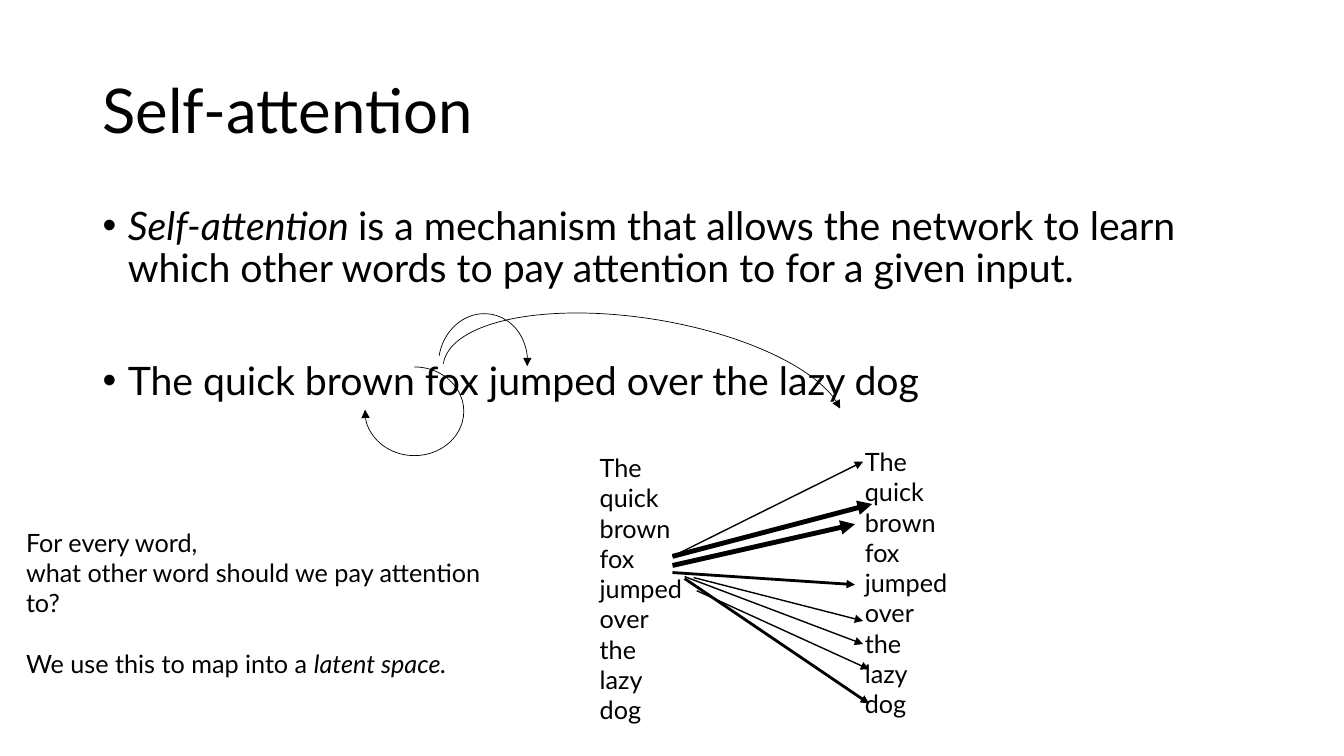
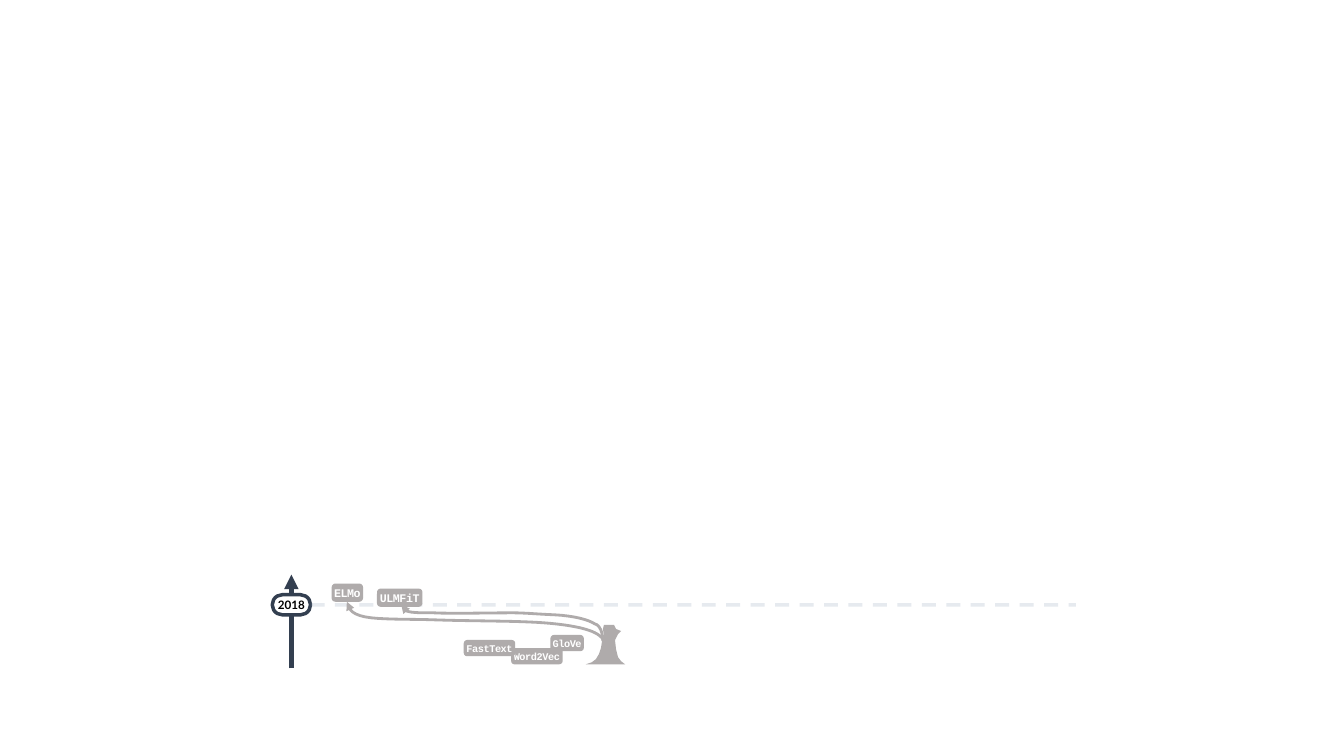
from lxml import etree
from pptx import Presentation
from pptx.dml.color import RGBColor
from pptx.enum.dml import MSO_LINE
from pptx.enum.shapes import MSO_CONNECTOR, MSO_SHAPE
from pptx.enum.text import MSO_ANCHOR, PP_ALIGN
from pptx.oxml.ns import qn
from pptx.util import Inches, Pt

BLACK = RGBColor(0x00, 0x00, 0x00)
WHITE = RGBColor(0xFF, 0xFF, 0xFF)
GRAY = RGBColor(0xAF, 0xAB, 0xAB)
NAVY = RGBColor(0x33, 0x3F, 0x50)
BLUE = RGBColor(0x84, 0x97, 0xB0)

SANS, MONO = "Lato", "Courier New"
LINE = MSO_CONNECTOR.STRAIGHT
ARC = MSO_SHAPE.ARC
ROUND = MSO_SHAPE.ROUNDED_RECTANGLE
MIDDLE, TOP = MSO_ANCHOR.MIDDLE, MSO_ANCHOR.TOP
CENTER = PP_ALIGN.CENTER
DASH = MSO_LINE.DASH

WORDS = "The quick brown fox jumped over the lazy dog"

# left, top, width, height, turn, start and end angle
ARCS = [
    (4.3, 3.16, 0.98, 0.88, 279.2, 162, 51.02),
    (5.61, 1.92, 1.54, 4.02, 279.2, 162, 50.64),
    (3.62, 3.64, 0.98, 0.88, 0, 162, 109.1),
]

# from x, from y, to x, to y, weight
LINKS = [
    (6.67, 5.61, 8.48, 5.2, 3.5),
    (6.67, 5.68, 8.48, 5.8, 2),
    (6.79, 5.74, 8.62, 6.98, 2),
    (6.67, 5.52, 8.56, 4.58, 1),
    (6.67, 5.52, 8.65, 5, 3.5),
    (6.88, 5.73, 8.56, 6.16, 1),
    (6.79, 5.72, 8.56, 6.39, 1),
    (6.91, 5.86, 8.62, 6.64, 1),
]

# name, left, top, width, height, size
MODELS = [
    ("Word2Vec", 5.08, 6.44, 0.49, 0.14, 7.3),
    ("FastText", 4.61, 6.36, 0.49, 0.14, 7.3),
    ("GloVe", 5.47, 6.31, 0.31, 0.14, 7.3),
    ("ELMo", 3.3, 5.8, 0.29, 0.16, 8.3),
    ("ULMFiT", 3.75, 5.85, 0.43, 0.16, 8.3),
]

TRUNK = [
    (5.99, 6.2), (6.09, 6.2), (6.11, 6.24), (6.16, 6.26), (6.13, 6.29),
    (6.1, 6.35), (6.11, 6.44), (6.13, 6.52), (6.16, 6.56), (6.2, 6.59),
    (5.81, 6.59), (5.87, 6.57), (5.91, 6.54), (5.94, 6.49), (5.96, 6.43),
    (5.97, 6.37), (5.99, 6.3), (5.98, 6.24),
]

# start point, then cubic segments of two handles and an end
ELMO = [
    (5.98, 6.54), (6, 6.47), (6.01, 6.4), (5.98, 6.34),
    (5.94, 6.29), (5.88, 6.26), (5.76, 6.23),
    (5.63, 6.2), (5.47, 6.18), (5.23, 6.17),
    (4.99, 6.16), (4.59, 6.16), (4.32, 6.15),
    (4.05, 6.14), (3.77, 6.15), (3.62, 6.12),
    (3.47, 6.09), (3.46, 6.03), (3.44, 5.97),
]
ULMFIT = [
    (5.98, 6.36), (5.98, 6.28), (5.95, 6.2), (5.9, 6.19),
    (5.84, 6.15), (5.7, 6.11), (5.5, 6.1),
    (5.28, 6.09), (5.2, 6.08), (5.08, 6.08),
    (4.88, 6.08), (4.47, 6.09), (4.3, 6.08),
    (4.14, 6.08), (4.05, 6.08), (4.01, 6.05),
    (3.99, 6.04), (3.98, 6.02), (3.98, 6),
]


def box(lens):
    return [Inches(n) for n in lens]


def add_run(para, text, size, font=SANS, color=BLACK, bold=False,
            italic=False):
    run = para.add_run()
    run.text = text
    face = run.font
    face.name, face.size = font, Pt(size)
    face.bold, face.italic = bold, italic
    face.color.rgb = color
    return run


def add_text(slide, place, paras, size, wrap=True, anchor=TOP):
    """Add a text box; each paragraph is a list of (text, italic) runs."""
    frame = slide.shapes.add_textbox(*box(place)).text_frame
    frame.word_wrap = wrap
    frame.vertical_anchor = anchor
    for i, runs in enumerate(paras):
        para = frame.add_paragraph() if i else frame.paragraphs[0]
        for text, italic in runs:
            add_run(para, text, size, italic=italic)
    return frame.paragraphs


def add_bullet(para):
    props = para._p.get_or_add_pPr()
    props.set("marL", str(Inches(0.25)))
    props.set("indent", str(-Inches(0.25)))
    etree.SubElement(props, qn("a:buFont")).set("typeface", "Arial")
    etree.SubElement(props, qn("a:buChar")).set("char", "•")


def set_line(shape, color, weight, head=True):
    shape.line.color.rgb = color
    shape.line.width = Pt(weight)
    if head:
        edge = shape.element.spPr.find(qn("a:ln"))
        etree.SubElement(edge, qn("a:tailEnd")).set("type", "triangle")


def add_link(slide, ends, color, weight, head=True):
    link = slide.shapes.add_connector(LINE, *box(ends))
    set_line(link, color, weight, head)
    etree.SubElement(link.element.spPr, qn("a:effectLst"))
    return link


def add_arc(slide, place, turn, start, end):
    arc = slide.shapes.add_shape(ARC, *box(place))
    arc.adjustments[0], arc.adjustments[1] = start, end
    arc.rotation = turn
    arc.fill.background()
    arc.shadow.inherit = False
    set_line(arc, BLACK, 0.5)


def add_pill(slide, place, fill, edge, weight):
    """Add a rounded label and return it with its centred paragraph."""
    pill = slide.shapes.add_shape(ROUND, *box(place))
    pill.shadow.inherit = False
    pill.fill.solid()
    pill.fill.fore_color.rgb = fill
    set_line(pill, edge, weight, head=False)
    frame = pill.text_frame
    frame.margin_left = frame.margin_right = 0
    frame.margin_top = frame.margin_bottom = 0
    frame.word_wrap = False
    frame.vertical_anchor = MIDDLE
    para = frame.paragraphs[0]
    para.alignment = CENTER
    return pill, para


def add_path(slide, points, close):
    first, *rest = [tuple(box(p)) for p in points]
    pen = slide.shapes.build_freeform(*first)
    pen.add_line_segments(rest, close=close)
    path = pen.convert_to_shape()
    path.shadow.inherit = False
    return path


def trace(knots, steps=8):
    """Sample a chain of cubic curves."""
    points = [knots[0]]
    for i in range(0, len(knots) - 1, 3):
        for n in range(1, steps + 1):
            t = n / steps
            u = 1 - t
            parts = (u ** 3, 3 * u * u * t, 3 * u * t * t, t ** 3)
            points.append(tuple(
                sum(w * k[axis] for w, k in zip(parts, knots[i:i + 4]))
                for axis in (0, 1)))
    return points


def add_branch(slide, knots):
    branch = add_path(slide, trace(knots), close=False)
    branch.fill.background()
    set_line(branch, GRAY, 2)


def draw_focus(slide):
    title, = add_text(slide, (0.92, 0.4, 11.5, 1.45),
                      [[("Self-attention", False)]], 44, anchor=MIDDLE)
    title.line_spacing = 0.9

    body = add_text(slide, (0.92, 2, 11.5, 4.76), [
        [("Self-attention ", True),
         ("is a mechanism that allows the network to learn which other "
          "words to pay attention to for a given input.", False)],
        [(WORDS, False)],
    ], 28)
    for para in body:
        add_bullet(para)
        para.line_spacing = 0.9
    body[1].space_before = Pt(50)

    for *place, turn, start, end in ARCS:
        add_arc(slide, place, turn, start, end)

    column = [[(word, False)] for word in WORDS.split()]
    for left, top in ((5.85, 4.44), (8.48, 4.38)):
        add_text(slide, (left, top, 1.07, 3.13), column, 18, wrap=False)
    for *ends, weight in LINKS:
        add_link(slide, ends, BLACK, weight)

    notes = add_text(slide, (0.16, 5.18, 4.9, 1.31), [
        [("For every word,", False)],
        [("what other word should we pay attention to?", False)],
        [("We use this to map into a ", False), ("latent space.", True)],
    ], 18)
    notes[2].space_before = Pt(21.6)


def draw_tree(slide):
    trunk = add_path(slide, TRUNK, close=True)
    trunk.fill.solid()
    trunk.fill.fore_color.rgb = GRAY
    trunk.line.fill.background()

    add_link(slide, (2.89, 6.63, 2.89, 5.7), NAVY, 3.5)
    year, para = add_pill(slide, (2.7, 5.9, 0.38, 0.2), WHITE, NAVY, 2.5)
    year.adjustments[0] = 0.5
    add_run(para, "2018", 8.3, bold=True)

    level = add_link(slide, (3.08, 6, 10.67, 6), BLUE, 2.5, head=False)
    level.begin_connect(year, 3)
    level.line.dash_style = DASH
    tint = level.element.spPr.find(".//" + qn("a:srgbClr"))
    etree.SubElement(tint, qn("a:alpha")).set("val", "20000")

    for name, *place, size in MODELS:
        _, para = add_pill(slide, place, GRAY, GRAY, 1.5)
        run = add_run(para, name, size, MONO, WHITE, bold=True)
        run.font._element.set("spc", "-30")
    for knots in (ELMO, ULMFIT):
        add_branch(slide, knots)


def main():
    deck = Presentation()
    deck.slide_width, deck.slide_height = Inches(13.33), Inches(7.5)
    for draw in (draw_focus, draw_tree):
        draw(deck.slides.add_slide(deck.slide_layouts[6]))
    deck.save("out.pptx")


if __name__ == "__main__":
    main()
